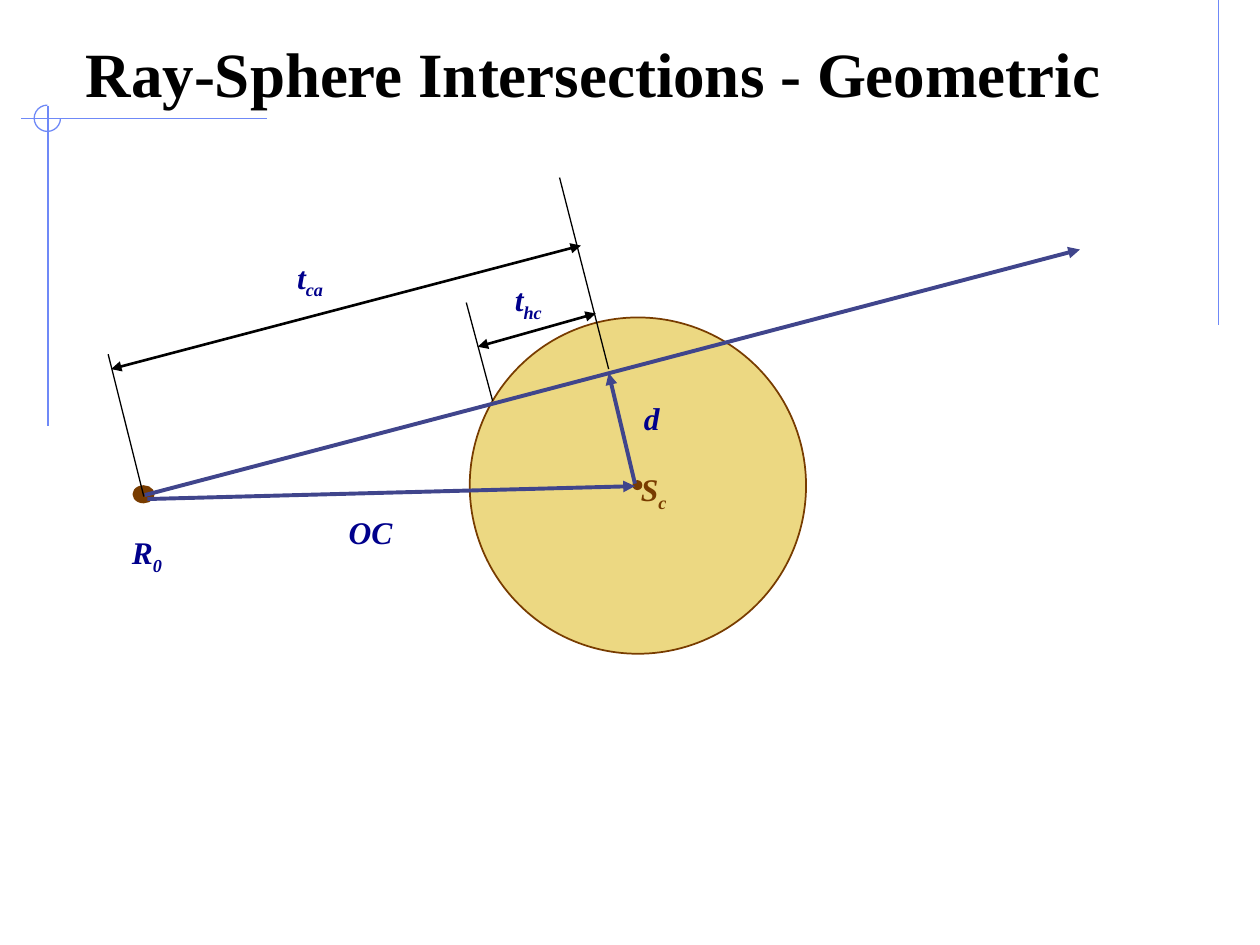
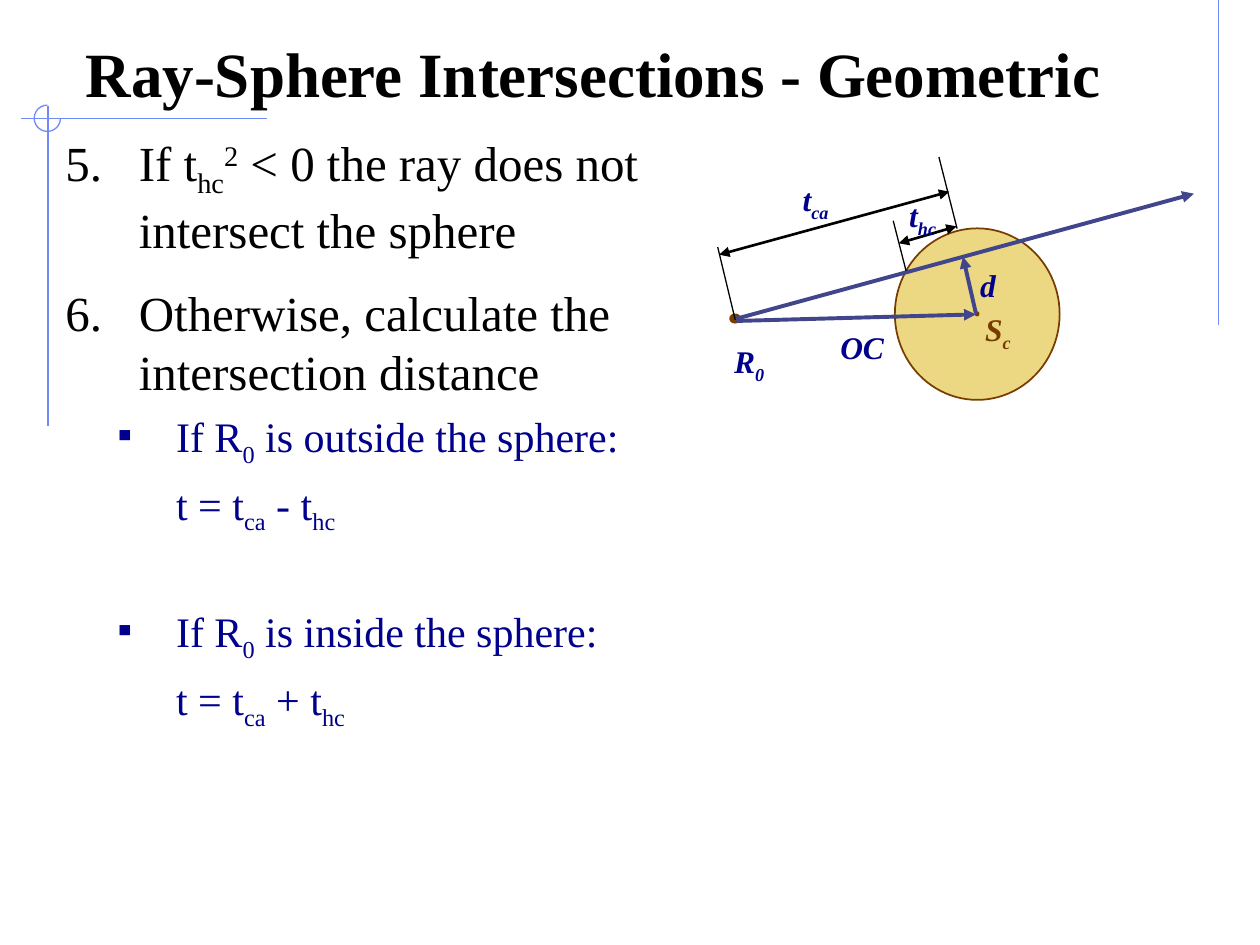
from dataclasses import dataclass
from typing import Optional

from lxml.etree import SubElement
from pptx import Presentation
from pptx.dml.color import RGBColor
from pptx.enum.shapes import MSO_CONNECTOR as CONN, MSO_SHAPE as SHAPE
from pptx.enum.text import MSO_ANCHOR as ANCHOR, MSO_AUTO_SIZE as AUTO, PP_ALIGN as ALIGN
from pptx.oxml.ns import qn
from pptx.util import Cm, Pt

COLORS = {
    "text": "000000", "navy": "00008C", "brown": "783C00",
    "sand": "ECD882", "ray": "40458C", "frame": "6F89F7",
}
FONT = "Times New Roman"
TITLE = "Ray-Sphere Intersections - Geometric"
SUB, SUP = -25, 30
Point = tuple[float, float]
Runs = list[tuple[str, int]]  # text and baseline shift in percent


@dataclass
class Line:
    start: Point
    end: Point
    color: str = "text"
    width: float = 0.75
    head: bool = False
    tail: bool = False


@dataclass
class Oval:
    left: float
    top: float
    width: float
    height: float
    fill: str
    line: Optional[str] = None


@dataclass
class Label:
    runs: Runs
    at: Point
    color: str = "navy"
    spacing: float = 1.0


@dataclass
class Item:
    runs: Runs
    size: int
    color: str
    margin: float
    indent: float = 0
    before: float = 6
    bullet: str = ""


@dataclass
class View:
    """Maps diagram coordinates (cm) to the slide."""
    scale_x: float = 1
    scale_y: float = 1
    dx: float = 0
    dy: float = 0

    def point(self, pt: Point) -> Point:
        return pt[0] * self.scale_x + self.dx, pt[1] * self.scale_y + self.dy


# Frame lines that both slides share
FRAME = [
    Line((24.56, 0), (24.56, 6.55), "frame"),
    Line((5.38, 2.39), (0.43, 2.39), "frame"),
    Line((0.97, 2.13), (0.97, 8.59), "frame"),
]

# Diagram parts, at full size
OVALS = [
    Oval(9.47, 6.4, 6.78, 6.78, "sand", "brown"),
    Oval(12.75, 9.68, 0.2, 0.2, "brown"),
    Oval(2.69, 9.8, 0.41, 0.33, "brown", "brown"),
]
LINES = [
    Line((2.92, 9.98), (21.77, 5.03), "ray", 2.25, tail=True),
    Line((2.97, 10.06), (12.8, 9.8), "ray", 2.25, tail=True),
    Line((12.8, 9.75), (12.27, 7.52), "ray", 2.25, tail=True),
    Line((2.24, 7.44), (11.71, 4.95), width=1.5, head=True, tail=True),
    Line((9.63, 6.99), (12.01, 6.32), width=1.5, head=True, tail=True),
    Line((2.9, 10.01), (2.18, 7.14)),
    Line((9.93, 8.08), (9.4, 6.1)),
]
FOOT_TOP = (11.28, 3.58)


def rgb(name: str) -> RGBColor:
    return RGBColor.from_string(COLORS[name])


def add_runs(p, runs: Runs, *, size: float, color: str,
             bold: bool = False, italic: bool = False) -> None:
    for text, shift in runs:
        r = p.add_run()
        r.text = text
        f = r.font
        f.name, f.size, f.bold, f.italic = FONT, Pt(size), bold, italic
        f.color.rgb = rgb(color)
        if shift:
            f._element.set("baseline", str(shift * 1000))


def add_text_frame(s, left: float, top: float, width: float, height: float):
    tf = s.shapes.add_textbox(Cm(left), Cm(top), Cm(width), Cm(height)).text_frame
    tf.word_wrap = True
    return tf


def add_line(s, line: Line, view: View) -> None:
    ends = [Cm(v) for pt in (line.start, line.end) for v in view.point(pt)]
    c = s.shapes.add_connector(CONN.STRAIGHT, *ends)
    c.line.color.rgb = rgb(line.color)
    c.line.width = Pt(line.width)
    ln = c.line._get_or_add_ln()
    for tag, shown in (("a:headEnd", line.head), ("a:tailEnd", line.tail)):
        if shown:
            SubElement(ln, qn(tag), type="triangle")
    SubElement(c._element.spPr, qn("a:effectLst"))


def add_oval(s, oval: Oval, view: View) -> None:
    left, top = view.point((oval.left, oval.top))
    sp = s.shapes.add_shape(SHAPE.OVAL, Cm(left), Cm(top),
                            Cm(oval.width * view.scale_x), Cm(oval.height * view.scale_y))
    sp.shadow.inherit = False
    sp.fill.solid()
    sp.fill.fore_color.rgb = rgb(oval.fill)
    if oval.line:
        sp.line.color.rgb = rgb(oval.line)
        sp.line.width = Pt(1)
    else:
        sp.line.fill.background()


def add_label(s, label: Label) -> None:
    p = add_text_frame(s, *label.at, 1.6, 1).paragraphs[0]
    p.line_spacing = label.spacing
    add_runs(p, label.runs, size=18, color=label.color, bold=True, italic=True)


def add_diagram(s, view: View, foot: Point, labels: list[Label]) -> None:
    for oval in OVALS:
        add_oval(s, oval, view)
    for line in [*LINES, Line(foot, FOOT_TOP)]:
        add_line(s, line, view)
    for label in labels:
        add_label(s, label)


def add_items(s, items: list[Item]) -> None:
    tf = add_text_frame(s, 1.07, 2.54, 12.12, 15.67)
    for i, item in enumerate(items):
        p = tf.paragraphs[0] if i == 0 else tf.add_paragraph()
        pPr = p._p.get_or_add_pPr()
        pPr.set("marL", str(Cm(item.margin)))
        pPr.set("indent", str(Cm(item.indent)))
        if item.bullet == "number":
            SubElement(pPr, qn("a:buAutoNum"), type="arabicPeriod", startAt="5")
        elif item.bullet:
            SubElement(pPr, qn("a:buSzPct"), val="75000")
            SubElement(pPr, qn("a:buChar"), char=item.bullet)
        if i:
            p.space_before = Pt(item.before)
        add_runs(p, item.runs, size=item.size, color=item.color)


def add_slide(prs):
    s = prs.slides.add_slide(prs.slide_layouts[5])
    # Frame with its three-quarter ring
    for line in FRAME:
        add_line(s, line, View())
    ring = s.shapes.add_shape(SHAPE.ARC, Cm(0.69), Cm(2.12), Cm(0.53), Cm(0.53))
    ring.adjustments[0], ring.adjustments[1] = 0, 162  # 0 to 270 degrees
    ring.shadow.inherit = False
    ring.fill.background()
    ring.line.color.rgb = rgb("frame")
    ring.line.width = Pt(0.75)
    # Title
    title = s.shapes.title
    title.left, title.top, title.width, title.height = Cm(1.47), Cm(0.64), Cm(22.43), Cm(1.7)
    tf = title.text_frame
    tf.auto_size, tf.vertical_anchor, tf.word_wrap = AUTO.NONE, ANCHOR.BOTTOM, True
    p = tf.paragraphs[0]
    p.alignment = ALIGN.LEFT
    add_runs(p, [(TITLE, 0)], size=36, color="text", bold=True)
    return s


def numbered(runs: Runs) -> Item:
    return Item(runs, 28, "text", 1.48, -1.48, 14, "number")


def case(place: str, before: float = 6) -> Item:
    runs = [("If R", 0), ("0", SUB), (f" is {place} the sphere:", 0)]
    return Item(runs, 24, "navy", 2.23, -1.27, before, "▪")


def distance(sign: str) -> Item:
    runs = [("t = t", 0), ("ca", SUB), (f" {sign} t", 0), ("hc", SUB)]
    return Item(runs, 24, "navy", 2.23)


def make_labels(d: Point, center: Point, origin: Point, ca: Point, hc: Point,
                oc: Point, origin_spacing: float = 1.0) -> list[Label]:
    return [
        Label([("d", 0)], d),
        Label([("S", 0), ("c", SUB)], center, "brown"),
        Label([("R", 0), ("0", SUB)], origin, spacing=origin_spacing),
        Label([("t", 0), ("ca", SUB)], ca, spacing=0.9),
        Label([("t", 0), ("hc", SUB)], hc, spacing=0.9),
        Label([("OC", 0)], oc),
    ]


def main() -> None:
    prs = Presentation()
    prs.slide_width, prs.slide_height = Cm(25.4), Cm(19.05)

    # Slide 1: the full-size diagram
    add_diagram(add_slide(prs), View(), (12.27, 7.44), make_labels(
        d=(12.73, 7.92), center=(12.67, 9.35), origin=(2.41, 10.64),
        ca=(5.74, 5.08), hc=(10.13, 5.54), oc=(6.78, 10.21), origin_spacing=0.9))

    # Slide 2: the last steps beside the reduced diagram
    s = add_slide(prs)
    add_items(s, [
        numbered([("If t", 0), ("hc", SUB), ("2", SUP),
                  (" < 0 the ray does not intersect the sphere", 0)]),
        numbered([("Otherwise, calculate the intersection distance", 0)]),
        case("outside"),
        distance("-"),
        case("inside", before=40),
        distance("+"),
    ])
    add_diagram(s, View(0.49, 0.51, 13.4, 1.34), (12.03, 6.41), make_labels(
        d=(19.51, 5.23), center=(19.61, 6.12), origin=(14.55, 6.78),
        ca=(15.93, 3.51), hc=(18.08, 3.84), oc=(16.69, 6.48)))

    prs.save("out.pptx")


if __name__ == "__main__":
    main()
